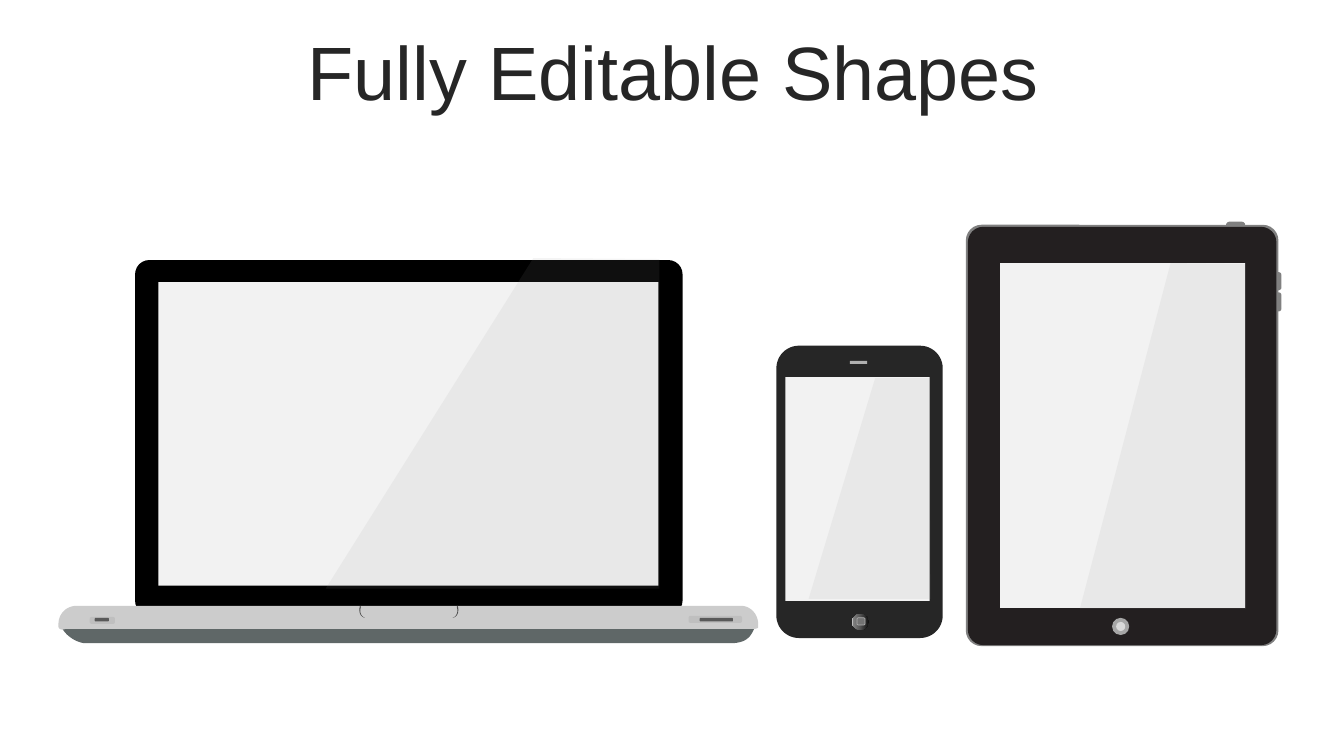
from dataclasses import dataclass

from lxml import etree
from pptx import Presentation
from pptx.dml.color import RGBColor
from pptx.enum.shapes import MSO_SHAPE
from pptx.enum.text import MSO_ANCHOR, MSO_AUTO_SIZE, PP_ALIGN
from pptx.oxml.ns import qn
from pptx.util import Inches, Pt

RECTANGLE = MSO_SHAPE.RECTANGLE
ROUNDED = MSO_SHAPE.ROUNDED_RECTANGLE
OVAL = MSO_SHAPE.OVAL
MIDDLE = MSO_ANCHOR.MIDDLE
NO_AUTOFIT = MSO_AUTO_SIZE.NONE
CENTER = PP_ALIGN.CENTER
CELL = Inches(0.1)
CURVE_STEPS = 12
TITLE_LAYOUT = 5


@dataclass(frozen=True)
class Theme:
    font: str = "Arial"
    title_size: float = 54
    ink: str = "262626"
    black: str = "000000"
    tablet: str = "231F20"
    screen: str = "F2F2F2"
    glare: str = "999999"
    glare_opacity: int = 10
    underside: str = "5F6767"
    deck: str = "CCCCCC"
    notch: str = "4D4D4D"
    port: str = "BFBFBF"
    slot: str = "595959"
    rim: str = "808080"
    button: str = "A6A6A6"
    button_center: str = "D9D9D9"
    speaker: str = "B0B0B0"
    key: str = "737373"
    key_line: float = 0.5
    key_shades: tuple = ((0, "0F0F0F"), (56, "595959"), (91, "808080"), (100, "BFBFBF"))


THEME = Theme()


@dataclass(frozen=True)
class Box:
    column: float
    row: float
    columns: float
    rows: float

    def inner(self, column, row, columns, rows):
        return Box(self.column + column, self.row + row, columns, rows)

    def point(self, column, row):
        return round((self.column + column) * CELL), round((self.row + row) * CELL)

    def lengths(self):
        return *self.point(0, 0), round(self.columns * CELL), round(self.rows * CELL)


def paint(shape, color):
    shape.shadow.inherit = False
    shape.fill.solid()
    shape.fill.fore_color.rgb = RGBColor.from_string(color)
    shape.line.fill.background()
    return shape


def add_part(group, kind, box, color, corner=None):
    shape = group.shapes.add_shape(kind, *box.lengths())
    if corner is not None:
        shape.adjustments[0] = corner
    return paint(shape, color)


def curve(start, first, second, end):
    points = []
    for step in range(1, CURVE_STEPS + 1):
        t = step / CURVE_STEPS
        weights = ((1 - t) ** 3, 3 * t * (1 - t) ** 2, 3 * t * t * (1 - t), t ** 3)
        corners = (start, first, second, end)
        points.append(tuple(sum(w * c[axis] for w, c in zip(weights, corners)) for axis in (0, 1)))
    return points


def add_outline(group, box, start, segments, color):
    points = [start]
    for segment in segments:
        points += curve(points[-1], *segment) if len(segment) == 3 else segment
    spots = [box.point(*point) for point in points]
    builder = group.shapes.build_freeform(*spots[0], scale=1.0)
    builder.add_line_segments(spots[1:], close=True)
    return paint(builder.convert_to_shape(), color)


def add_glare(group, box, corners):
    shape = add_outline(group, box, corners[0], [[corner] for corner in corners[1:]], THEME.glare)
    color = shape.element.spPr.find(qn("a:solidFill")).find(qn("a:srgbClr"))
    etree.SubElement(color, qn("a:alpha"), val=str(THEME.glare_opacity * 1000))


def shade(shape, stops):
    shape.fill.gradient()
    shape.fill.gradient_angle = 180
    stop_list = shape.element.spPr.find(qn("a:gradFill")).find(qn("a:gsLst"))
    for stop in list(stop_list):
        stop_list.remove(stop)
    for position, color in stops:
        stop = etree.SubElement(stop_list, qn("a:gs"), pos=str(position * 1000))
        etree.SubElement(stop, qn("a:srgbClr"), val=color)


def add_title(page, box, text):
    title = page.shapes.title
    title.left, title.top, title.width, title.height = box.lengths()
    frame = title.text_frame
    frame.word_wrap = True
    frame.auto_size = NO_AUTOFIT
    frame.vertical_anchor = MIDDLE
    para = frame.paragraphs[0]
    para.alignment = CENTER
    para.line_spacing = 0.9
    span = para.add_run()
    span.text = text
    span.font.name = THEME.font
    span.font.size = Pt(THEME.title_size)
    span.font.color.rgb = RGBColor.from_string(THEME.ink)


def add_laptop(page, box):
    group = page.shapes.add_group_shape()
    right = box.columns
    add_outline(group, box, (2.5, 38.2), [
        [(right - 2.5, 38.2)],
        [(right - 1.1, 38.1), (right - 0.8, 37.4), (right - 0.5, 36.8)],
        [(right - 0.5, 36)], [(0.4, 36)], [(0.4, 36.8)],
        [(0.9, 37.6), (1.8, 38.1), (2.5, 38.2)],
    ], THEME.underside)
    add_part(group, ROUNDED, box.inner(7.6, 0.2, 54.3, 35.2), THEME.black, 0.04)
    add_part(group, RECTANGLE, box.inner(9.9, 2.4, 49.6, 30.1), THEME.screen)
    add_outline(group, box, (1.8, 34.5), [
        [(right - 1.8, 34.5)],
        [(right - 0.9, 34.5), (right - 0.1, 35.3), (right - 0.1, 36.3)],
        [(right - 0.1, 36.6)],
        [(right - 0.1, 36.7), (right - 0.2, 36.8), (right - 0.7, 36.8)],
        [(0.7, 36.8)],
        [(0.4, 36.9), (0.1, 36.9), (0, 36.6)],
        [(0, 36.3)],
        [(0, 35.3), (0.8, 34.5), (1.8, 34.5)],
    ], THEME.deck)
    for edge, side in ((0, 1), (right, -1)):
        add_outline(group, box, (edge + side * 29.9, 34.5), [
            [(edge + side * column, row) for column, row in segment]
            for segment in (
                [(30, 34.6)],
                [(30, 34.6), (29.7, 35.4), (30.4, 35.7)],
                [(29.6, 35.5), (29.9, 34.5), (29.9, 34.5)],
            )
        ], THEME.notch)
    for column, row, columns, slot, slot_columns in ((3.1, 35.6, 2.5, 3.6, 1.4), (62.5, 35.5, 5.3, 63.6, 3.3)):
        add_part(group, ROUNDED, box.inner(column, row, columns, 0.7), THEME.port, 0.28)
        add_part(group, ROUNDED, box.inner(slot, 35.7, slot_columns, 0.35), THEME.slot, 0.28)
    add_glare(group, box, [(47.1, 0), (59.6, 0.1), (59.6, 32.8), (26.5, 32.8)])


def add_tablet(page, box):
    group = page.shapes.add_group_shape()
    for button in ((25.8, 0, 1.9, 0.7), (30.7, 7, 0.6, 1.9), (30.7, 5, 0.6, 1.8)):
        add_part(group, ROUNDED, box.inner(*button), THEME.rim, 0.45)
    add_part(group, ROUNDED, box.inner(0, 0.3, 31, 41.8), THEME.rim, 0.05)
    add_part(group, ROUNDED, box.inner(0.2, 0.5, 30.6, 41.5), THEME.tablet, 0.05)
    add_part(group, RECTANGLE, box.inner(3.4, 4.1, 24.3, 34.2), THEME.screen)
    add_glare(group, box, [(20.3, 4.1), (27.7, 4.2), (27.8, 38.4), (11.3, 38.4)])
    add_part(group, OVAL, box.inner(14.5, 39.3, 1.7, 1.7), THEME.button)
    add_part(group, OVAL, box.inner(14.9, 39.7, 0.9, 0.9), THEME.button_center)


def add_phone(page, box):
    group = page.shapes.add_group_shape()
    add_part(group, ROUNDED, box, THEME.ink, 0.136)
    add_part(group, RECTANGLE, box.inner(7.3, 1.5, 1.7, 0.3), THEME.speaker)
    home = add_part(group, OVAL, box.inner(7.5, 26.6, 1.7, 1.6), THEME.ink)
    shade(home, THEME.key_shades)
    key = add_part(group, ROUNDED, box.inner(8, 27, 0.8, 0.7), THEME.key)
    key.line.color.rgb = RGBColor.from_string(THEME.speaker)
    key.line.width = Pt(THEME.key_line)
    add_part(group, RECTANGLE, box.inner(0.9, 3.1, 14.3, 22.2), THEME.screen)
    add_glare(group, box, [(9.8, 3.2), (15.2, 3.2), (15.3, 25.1), (3.2, 25.1)])


def main():
    deck = Presentation()
    deck.slide_width, deck.slide_height = Inches(13.33), Inches(7.5)
    page = deck.slides.add_slide(deck.slide_layouts[TITLE_LAYOUT])
    add_title(page, Box(3.5, 3.6, 126.6, 7.9), "Fully Editable Shapes")
    add_laptop(page, Box(5.8, 25.6, 69.5, 38.2))
    add_tablet(page, Box(95.8, 22, 31.3, 42.1))
    add_phone(page, Box(77, 34.3, 16.5, 29))
    deck.save("out.pptx")


if __name__ == "__main__":
    main()
